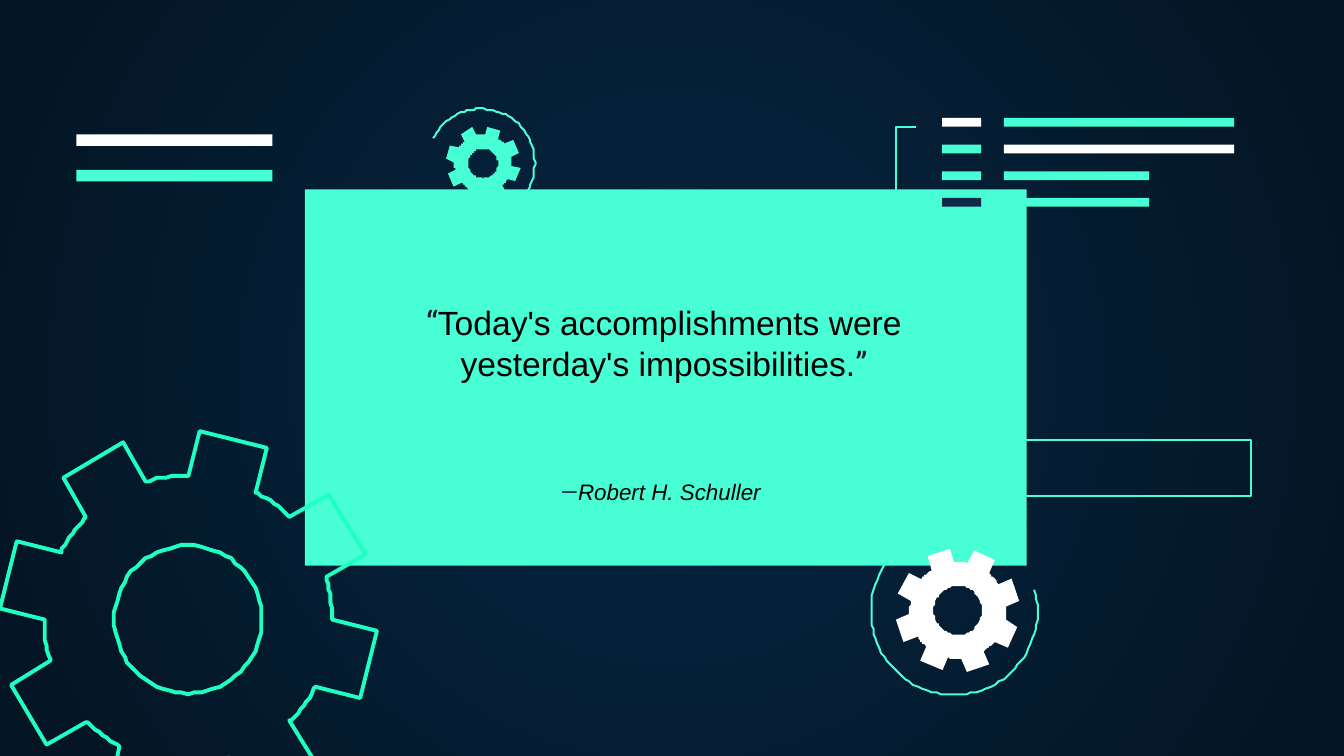
from dataclasses import dataclass
from math import cos, hypot, radians, sin

from lxml import etree
from pptx import Presentation
from pptx.dml.color import RGBColor
from pptx.enum import shapes, text
from pptx.oxml.ns import qn
from pptx.util import Pt

MINT, WHITE, NAVY = "48FFD5", "FFFFFF", "0E2A47"
THIN = 1.09

Point = tuple[float, float]


@dataclass
class Bar:
    x: float
    y: float
    w: float
    h: float
    color: str


@dataclass
class Gear:
    """Eight-toothed wheel; turn is the angle of one tooth in degrees."""
    x: float
    y: float
    tip: float
    root: float
    half: float
    hole: float
    turn: float
    fill: str | None = None
    line: str | None = None
    width: float = 0


@dataclass
class Arc:
    x: float
    y: float
    r: float
    start: float
    end: float


BARS = [
    Bar(163.4, 101.5, 386.6, 201.6, MINT),
    Bar(41, 72, 105, 6.2, WHITE),
    Bar(41, 91, 105, 6.2, MINT),
]
# Each row of the list: marker colour, line colour, line length
ROWS = [(WHITE, MINT, 123.4), (MINT, WHITE, 123.4), (MINT, MINT, 77.8), (NAVY, MINT, 77.8)]
for i, (mark, color, size) in enumerate(ROWS):
    top = 63.2 + 14.3 * i
    BARS += [Bar(504.7, top, 20.9, 4.7, mark), Bar(537.8, top, size, 4.7, color)]

ARCS = [Arc(257.6, 87.4, 29, 207, 455), Arc(511.2, 327.6, 44.7, -15, 233)]
GEARS = [
    Gear(100.8, 331.9, 99.3, 77.2, 18.8, 39.6, 14, line="1EFFC1", width=2.1),
    Gear(513.2, 327, 32.7, 25.9, 6.4, 13, 26, fill=WHITE),
    Gear(258.8, 87.6, 19.6, 15.5, 3.8, 7.9, 18, fill=MINT),
]
BRACKET = [(491.8, 112.3), (480.5, 112.3), (480.5, 68.5), (491.1, 68.5)]
FRAME = [(518.4, 235.8), (670.2, 235.8), (670.2, 265.8), (518.4, 265.8)]


def rgb(code: str) -> RGBColor:
    return RGBColor.from_string(code)


def paint(shape, fill: str | None = None, line: str | None = None, width: float = 0) -> None:
    shape.shadow.inherit = False
    if fill:
        shape.fill.solid()
        shape.fill.fore_color.rgb = rgb(fill)
    else:
        shape.fill.background()
    if line:
        shape.line.color.rgb = rgb(line)
        shape.line.width = Pt(width)
    else:
        shape.line.fill.background()


def curve(x: float, y: float, r: float, start: float, end: float, steps: int) -> list[Point]:
    turns = [radians(start + (end - start) * i / steps) for i in range(steps + 1)]
    return [(x + r * cos(t), y + r * sin(t)) for t in turns]


def outline(slide, *paths: list[Point], close: bool = True, **style) -> None:
    """Draw one freeform whose contours are the given paths."""
    pen = slide.shapes.build_freeform(*paths[0][0], scale=Pt(1))
    for i, path in enumerate(paths):
        if i:
            pen.move_to(*path[0])
        pen.add_line_segments(path[1:], close=close)
    paint(pen.convert_to_shape(), **style)


def draw_bar(slide, bar: Bar) -> None:
    box = (Pt(v) for v in (bar.x, bar.y, bar.w, bar.h))
    paint(slide.shapes.add_shape(shapes.MSO_SHAPE.RECTANGLE, *box), fill=bar.color)


def draw_arc(slide, arc: Arc) -> None:
    path = curve(arc.x, arc.y, arc.r, arc.start, arc.end, 72)
    outline(slide, path, close=False, line=MINT, width=THIN)


def draw_gear(slide, gear: Gear) -> None:
    base = hypot(gear.root, 0) ** 2 - gear.half ** 2
    foot = base ** 0.5
    tooth = [(foot, -gear.half), (gear.tip, -gear.half), (gear.tip, gear.half), (foot, gear.half)]
    # Angles where the rim between two teeth starts and ends
    rim = curve(0, 0, gear.root, 0, 45, 24)
    gap = [(u, v) for u, v in rim
           if v > gear.half and u * sin(radians(45)) - v * cos(radians(45)) > gear.half]
    edge = []
    for i in range(8):
        t = radians(gear.turn + 45 * i)
        edge += [(gear.x + u * cos(t) - v * sin(t), gear.y + u * sin(t) + v * cos(t))
                 for u, v in tooth + gap]
    hole = curve(gear.x, gear.y, gear.hole, 360, 0, 72)
    outline(slide, edge, hole, fill=gear.fill, line=gear.line, width=gear.width)


def write(slide, box: tuple, runs: list, *, size: float, anchor) -> None:
    """Add a centred text; each run is (words, font, colour, italic)."""
    frame = slide.shapes.add_textbox(*(Pt(v) for v in box)).text_frame
    frame.word_wrap = True
    frame.vertical_anchor = anchor
    frame.margin_left = frame.margin_right = Pt(7.2)
    frame.margin_top = frame.margin_bottom = Pt(7.2)
    par = frame.paragraphs[0]
    par.alignment = text.PP_ALIGN.CENTER
    for words, face, color, slant in runs:
        run = par.add_run()
        run.text = words
        run.font.name, run.font.size = face, Pt(size)
        run.font.italic = slant
        run.font.color.rgb = rgb(color)


def backdrop(slide) -> None:
    """Fill the background with a round gradient from the centre."""
    fill = slide.background.fill
    fill.gradient()
    for stop, color in zip(fill.gradient_stops, ("052643", "041523")):
        stop.color.rgb = rgb(color)
    lin = next(slide.element.iter(qn("a:lin")))
    grad = lin.getparent()
    grad.remove(lin)
    ring = etree.SubElement(grad, qn("a:path"), {"path": "circle"})
    etree.SubElement(ring, qn("a:fillToRect"), {side: "50000" for side in "ltrb"})


def main() -> None:
    deck = Presentation()
    deck.slide_width, deck.slide_height = Pt(720), Pt(405)
    slide = deck.slides.add_slide(deck.slide_layouts[6])
    backdrop(slide)
    for bar in BARS:
        draw_bar(slide, bar)
    for arc in ARCS:
        draw_arc(slide, arc)
    for gear in GEARS:
        draw_gear(slide, gear)
    outline(slide, BRACKET, close=False, line=MINT, width=THIN)
    outline(slide, FRAME, line=MINT, width=THIN)
    write(slide, (216.7, 125.3, 277.9, 152.6),
          [("—", "Roboto", NAVY, False), ("Robert H. Schuller ", "Arial", "000000", True)],
          size=12, anchor=text.MSO_ANCHOR.BOTTOM)
    quote = "Today's accomplishments were yesterday's impossibilities."
    write(slide, (219.6, 154.8, 272.2, 97.9),
          [("“", "Roboto", "161234", False), (quote, "Arial", "000000", False),
           ("”", "Roboto", "161234", False)],
          size=18, anchor=text.MSO_ANCHOR.TOP)
    deck.save("out.pptx")


if __name__ == "__main__":
    main()
